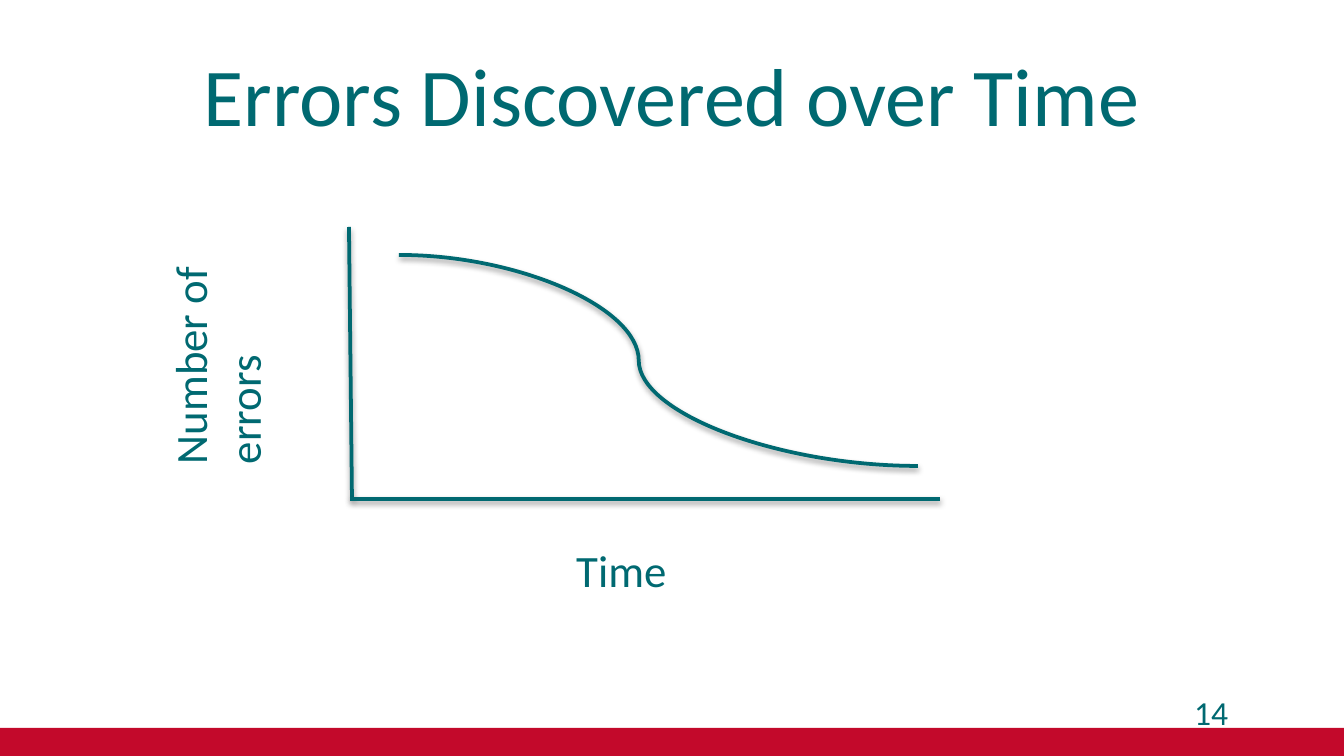
from dataclasses import dataclass

from lxml import etree
from pptx import Presentation
from pptx import util as u
from pptx.dml.color import RGBColor
from pptx.enum import shapes, text
from pptx.oxml import ns

SCALE = 914400 / 134.4


@dataclass(frozen=True)
class Theme:
    font: str = "Calibri"
    ink: str = "006971"
    bar: str = "C3092B"
    shade: str = "000000"
    head: int = 44
    label: int = 24
    page: int = 18
    line: int = 2


def px(n):
    return u.Emu(round(n * SCALE))


def add(parent, tag, **attrs):
    node = etree.SubElement(parent, ns.qn(tag))
    for key, value in attrs.items():
        node.set(key, str(value))
    return node


def set_text(frame, words, *, size, color, font, align=text.PP_ALIGN.LEFT,
             anchor=text.MSO_ANCHOR.TOP):
    frame.word_wrap = True
    frame.auto_size = text.MSO_AUTO_SIZE.NONE
    frame.vertical_anchor = anchor
    para = frame.paragraphs[0]
    para.alignment = align
    run = para.add_run()
    run.text = words
    run.font.size = u.Pt(size)
    run.font.name = font
    run.font.color.rgb = RGBColor.from_string(color)
    return para


class Deck:
    def __init__(self, theme):
        self.theme = theme
        self.prs = Presentation()
        self.prs.slide_width = px(1344)
        self.prs.slide_height = px(756)
        self.slide = self.prs.slides.add_slide(self.prs.slide_layouts[1])

    def place(self, shape, box):
        shape.left, shape.top, shape.width, shape.height = map(px, box)

    def fill_in(self, shape, words, size, **style):
        return set_text(shape.text_frame, words, size=size,
                        color=self.theme.ink, font=self.theme.font, **style)

    def title(self, words, box):
        shape = self.slide.shapes.title
        self.place(shape, box)
        self.fill_in(shape, words, self.theme.head,
                     align=text.PP_ALIGN.CENTER,
                     anchor=text.MSO_ANCHOR.MIDDLE)

    def body(self, words, box, turn):
        shape = self.slide.placeholders[1]
        self.place(shape, box)
        shape.rotation = turn
        para = self.fill_in(shape, words, self.theme.label)
        props = para._p.get_or_add_pPr()
        props.set("marL", "0")
        props.set("indent", "0")
        add(props, "a:buNone")

    def label(self, words, box, size):
        shape = self.slide.shapes.add_textbox(*map(px, box))
        self.fill_in(shape, words, size)

    def bar(self, box):
        shape = self.slide.shapes.add_shape(
            shapes.MSO_SHAPE.RECTANGLE, *map(px, box))
        shape.shadow.inherit = False
        shape.fill.solid()
        shape.fill.fore_color.rgb = RGBColor.from_string(self.theme.bar)
        shape.line.fill.background()

    def line(self, start, end, kind=shapes.MSO_CONNECTOR.STRAIGHT, bend=None):
        link = self.slide.shapes.add_connector(
            kind, *map(px, (*start, *end)))
        link.line.color.rgb = RGBColor.from_string(self.theme.ink)
        link.line.width = u.Pt(self.theme.line)
        props = link._element.spPr
        if bend is not None:
            guides = props.find(ns.qn("a:prstGeom")).find(ns.qn("a:avLst"))
            add(guides, "a:gd", name="adj1", fmla=f"val {bend}")
        shadow = add(add(props, "a:effectLst"), "a:outerShdw", blurRad=40000,
                     dist=20000, dir=5400000, rotWithShape=0)
        add(add(shadow, "a:srgbClr", val=self.theme.shade),
            "a:alpha", val=38000)


def main():
    theme = Theme()
    deck = Deck(theme)
    deck.bar((-1, 728, 1346, 30))
    deck.title("Errors Discovered over Time", (67, 31, 1210, 126))
    deck.body("Number of errors", (85, 227, 321, 180), 270)
    deck.label("14", (1181, 685, 95, 28), theme.page)
    deck.line((349, 227), (352, 499))
    deck.line((350, 499), (940, 499))
    deck.line((399, 255), (918, 466), shapes.MSO_CONNECTOR.CURVE, 46200)
    deck.label("Time", (563, 536, 263, 67), theme.label)
    deck.prs.save("out.pptx")


if __name__ == "__main__":
    main()
